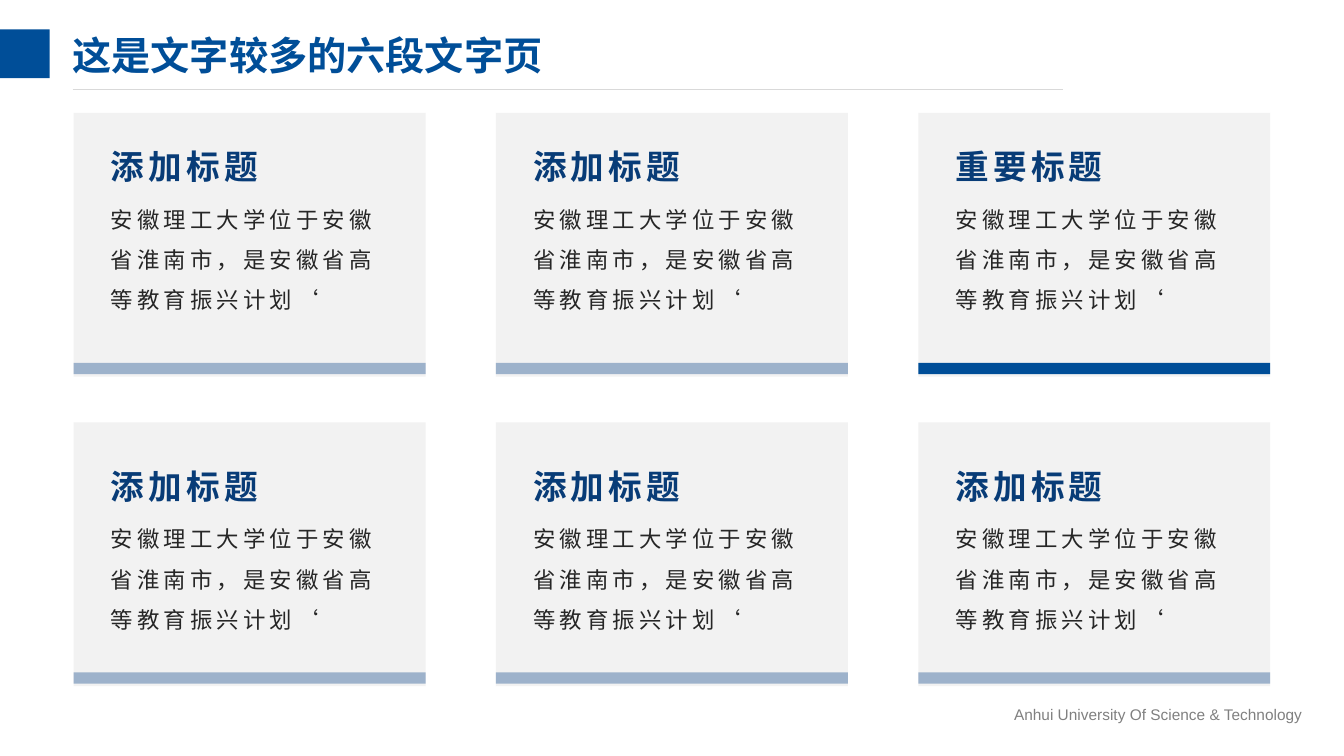
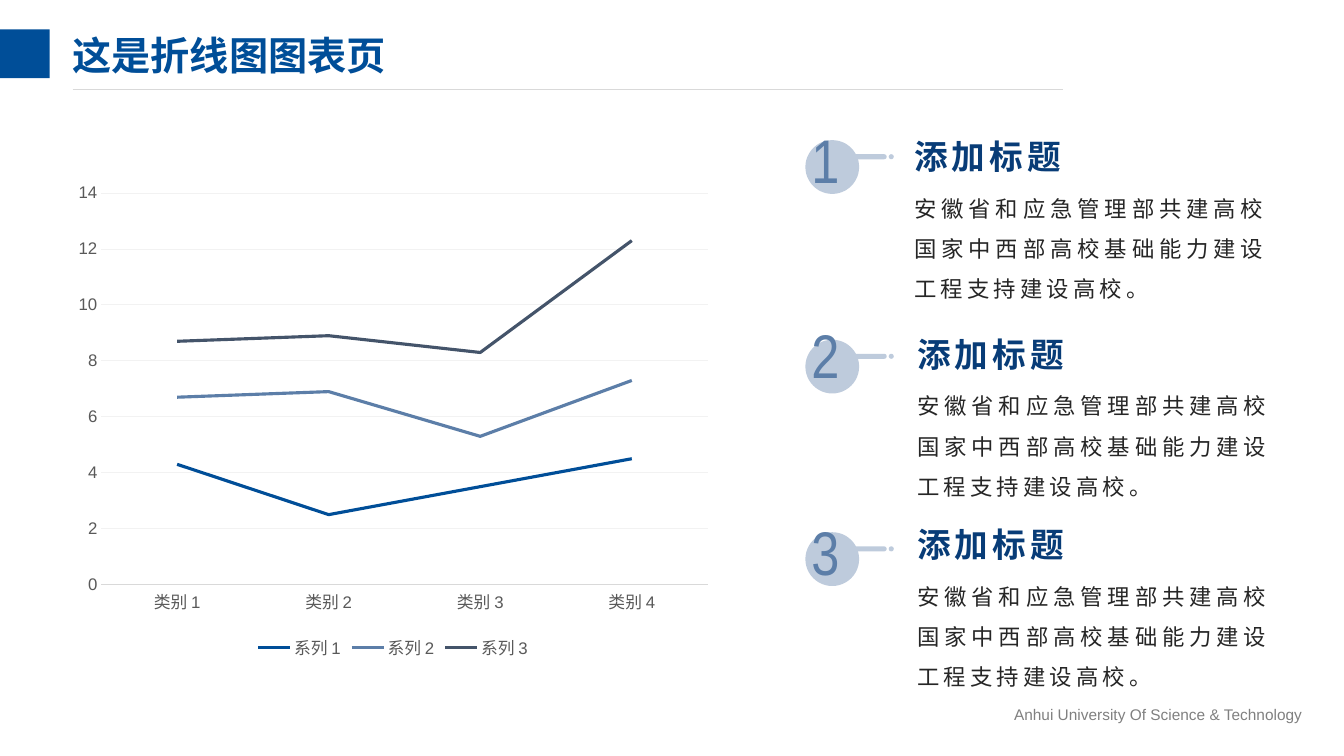
"""Build a two-slide university deck: six text cards and a stacked line chart."""
import dataclasses

import lxml.etree
import pptx
import pptx.chart.data
import pptx.dml.color
import pptx.enum.chart
import pptx.enum.shapes
import pptx.enum.text
import pptx.oxml.ns
import pptx.util


@dataclasses.dataclass(frozen=True)
class TextStyle:
    size: float
    font: str
    color: str
    bold: bool = False
    tracking: int = 0
    leading: float = 1.0
    align: str = "LEFT"
    anchor: str = "TOP"


class Theme:
    BLUE, PALE_BLUE, MIST_BLUE = "004E98", "9DB2CB", "BECBDC"
    STEEL, SLATE, RULE, PANEL, AXIS = "5C7EA8", "44546A", "D9D9D9", "F2F2F2", "595959"
    CJK = "Noto Sans CJK SC"
    CHART_FONT, CHART_SIZE = "Arial", 12
    TITLE = TextStyle(28, "Montserrat", BLUE, bold=True, leading=0.9, anchor="MIDDLE")
    HEADING = TextStyle(24, CJK, "083C77", bold=True, tracking=3)
    BODY = TextStyle(16, CJK, "262626", tracking=3, leading=1.5)
    JUSTIFIED = dataclasses.replace(BODY, align="JUSTIFY")
    NUMERAL = TextStyle(44, "Arial Narrow", STEEL, tracking=3)
    FOOTER = TextStyle(11, "Arial", "808080")


COLUMNS, ROWS = 160, 90
rgb = pptx.dml.color.RGBColor.from_string
qn = pptx.oxml.ns.qn
Pt = pptx.util.Pt
SHAPE = pptx.enum.shapes.MSO_SHAPE

deck = pptx.Presentation()
deck.slide_width = pptx.util.Inches(13.33)
deck.slide_height = pptx.util.Inches(7.5)
column = deck.slide_width / COLUMNS
row = deck.slide_height / ROWS


def add_block(slide, preset, left, top, width, height, fill):
    """Add a flat filled shape, placed in grid cells."""
    block = slide.shapes.add_shape(
        preset, int(left * column), int(top * row), int(width * column), int(height * row))
    block.shadow.inherit = False
    block.fill.solid()
    block.fill.fore_color.rgb = rgb(fill)
    block.line.fill.background()
    return block


def add_text(slide, left, top, width, height, words, style):
    """Add a text box without insets, placed in grid cells."""
    box = slide.shapes.add_textbox(
        int(left * column), int(top * row), int(width * column), int(height * row))
    frame = box.text_frame
    frame.word_wrap = True
    frame.margin_left = frame.margin_right = frame.margin_top = frame.margin_bottom = 0
    frame.vertical_anchor = getattr(pptx.enum.text.MSO_ANCHOR, style.anchor)
    frame.text = words
    paragraph = frame.paragraphs[0]
    paragraph.alignment = getattr(pptx.enum.text.PP_ALIGN, style.align)
    paragraph.line_spacing = style.leading
    run = paragraph.runs[0]
    run.font.size = Pt(style.size)
    run.font.name = style.font
    run.font.bold = style.bold
    run.font.color.rgb = rgb(style.color)
    properties = run.font._element
    properties.set("spc", str(style.tracking * 100))
    east_asian = lxml.etree.Element(qn("a:ea"), typeface=Theme.CJK)
    properties.find(qn("a:latin")).addnext(east_asian)


slides = []
for title in ("这是文字较多的六段文字页", "这是折线图图表页"):
    slide = deck.slides.add_slide(deck.slide_layouts[6])
    add_text(slide, 120.72, 84, 36, 2.4, "Anhui University Of Science & Technology", Theme.FOOTER)
    add_block(slide, SHAPE.RECTANGLE, 0, 3.5, 5.9, 5.8, Theme.BLUE)
    rule = slide.shapes.add_connector(
        pptx.enum.shapes.MSO_CONNECTOR.STRAIGHT,
        int(8.64 * column), int(10.7 * row), int(126.5 * column), int(10.7 * row))
    rule.line.color.rgb = rgb(Theme.RULE)
    rule.line.width = Pt(0.5)
    lxml.etree.SubElement(rule._element.spPr, qn("a:effectLst"))
    add_text(slide, 8.64, 2.5, 114, 8.8, title, Theme.TITLE)
    slides.append(slide)
cards_slide, chart_slide = slides

CARD_WIDTH, CARD_HEIGHT, BAR_HEIGHT = 41.9, 31.4, 1.35
CARD_BODY = "安徽理工大学位于安徽省淮南市，是安徽省高等教育振兴计划‘"
card_rows = (
    (13.44, 17.4, ("添加标题", "添加标题", "重要标题")),
    (50.28, 55.44, ("添加标题", "添加标题", "添加标题")),
)
for card_top, heading_top, headings in card_rows:
    for position, heading in enumerate(headings):
        card_left = 8.76 + position * 50.28
        bar_color = Theme.BLUE if heading == "重要标题" else Theme.PALE_BLUE
        add_block(cards_slide, SHAPE.RECTANGLE, card_left, card_top,
                  CARD_WIDTH, CARD_HEIGHT, Theme.PANEL)
        add_block(cards_slide, SHAPE.RECTANGLE, card_left, card_top + 29.76,
                  CARD_WIDTH, BAR_HEIGHT, bar_color)
        text_left = card_left + 4.44
        add_text(cards_slide, text_left, heading_top, 20, 4.8, heading, Theme.HEADING)
        add_text(cards_slide, text_left, heading_top + 5.52, 33.1, 14, CARD_BODY, Theme.BODY)

chart_data = pptx.chart.data.CategoryChartData()
chart_data.categories = [f"类别 {number}" for number in range(1, 5)]
series_rows = (
    ("系列 1", (4.3, 2.5, 3.5, 4.5), Theme.BLUE),
    ("系列 2", (2.4, 4.4, 1.8, 2.8), Theme.STEEL),
    ("系列 3", (2, 2, 3, 5), Theme.SLATE),
)
for name, values, _ in series_rows:
    chart_data.add_series(name, values)
chart = chart_slide.shapes.add_chart(
    pptx.enum.chart.XL_CHART_TYPE.LINE_STACKED,
    int(7.8 * column), int(20.76 * row), int(78 * column), int(58.3 * row), chart_data).chart
chart.has_title = False
chart.font.name = Theme.CHART_FONT
chart.font.size = Pt(Theme.CHART_SIZE)
chart.font.color.rgb = rgb(Theme.AXIS)
chart.has_legend = True
chart.legend.position = pptx.enum.chart.XL_LEGEND_POSITION.BOTTOM
chart.legend.include_in_layout = False
chart.plots[0].vary_by_categories = False
for series, (_, _, color) in zip(chart.plots[0].series, series_rows):
    series.smooth = False
    series.format.line.color.rgb = rgb(color)
    series.format.line.width = Pt(2.25)
for axis in (chart.category_axis, chart.value_axis):
    axis.major_tick_mark = axis.minor_tick_mark = pptx.enum.chart.XL_TICK_MARK.NONE
chart.category_axis.format.line.color.rgb = rgb(Theme.RULE)
chart.category_axis.format.line.width = Pt(0.75)
scale = chart.value_axis
scale.minimum_scale, scale.maximum_scale, scale.major_unit = 0, 14, 2
scale.format.line.fill.background()
scale.major_gridlines.format.line.color.rgb = rgb(Theme.PANEL)
scale.major_gridlines.format.line.width = Pt(0.75)

POINT_BODY = "安徽省和应急管理部共建高校国家中西部高校基础能力建设工程支持建设高校。"
points = (
    (16.68, 14.52, 108.84, 16.2),
    (40.44, 37.68, 109.2, 39.72),
    (63.36, 61.2, 109.2, 62.4),
)
for number, (badge_top, numeral_top, text_left, heading_top) in enumerate(points, 1):
    stem_top = badge_top + 1.68
    add_block(chart_slide, SHAPE.OVAL, 95.88, badge_top, 6.4, 6.4, Theme.MIST_BLUE)
    stem = add_block(chart_slide, SHAPE.ROUNDED_RECTANGLE, 101.16, stem_top, 4.4, 0.6,
                     Theme.MIST_BLUE)
    stem.adjustments[0] = 0.5
    add_block(chart_slide, SHAPE.OVAL, 105.8, stem_top, 0.6, 0.6, Theme.MIST_BLUE)
    add_text(chart_slide, 96.6, numeral_top, 6, 8.9, str(number), Theme.NUMERAL)
    add_text(chart_slide, text_left, heading_top, 20, 4.8, "添加标题", Theme.HEADING)
    add_text(chart_slide, text_left, heading_top + 5.4, 42.1, 14, POINT_BODY, Theme.JUSTIFIED)

deck.save("out.pptx")
